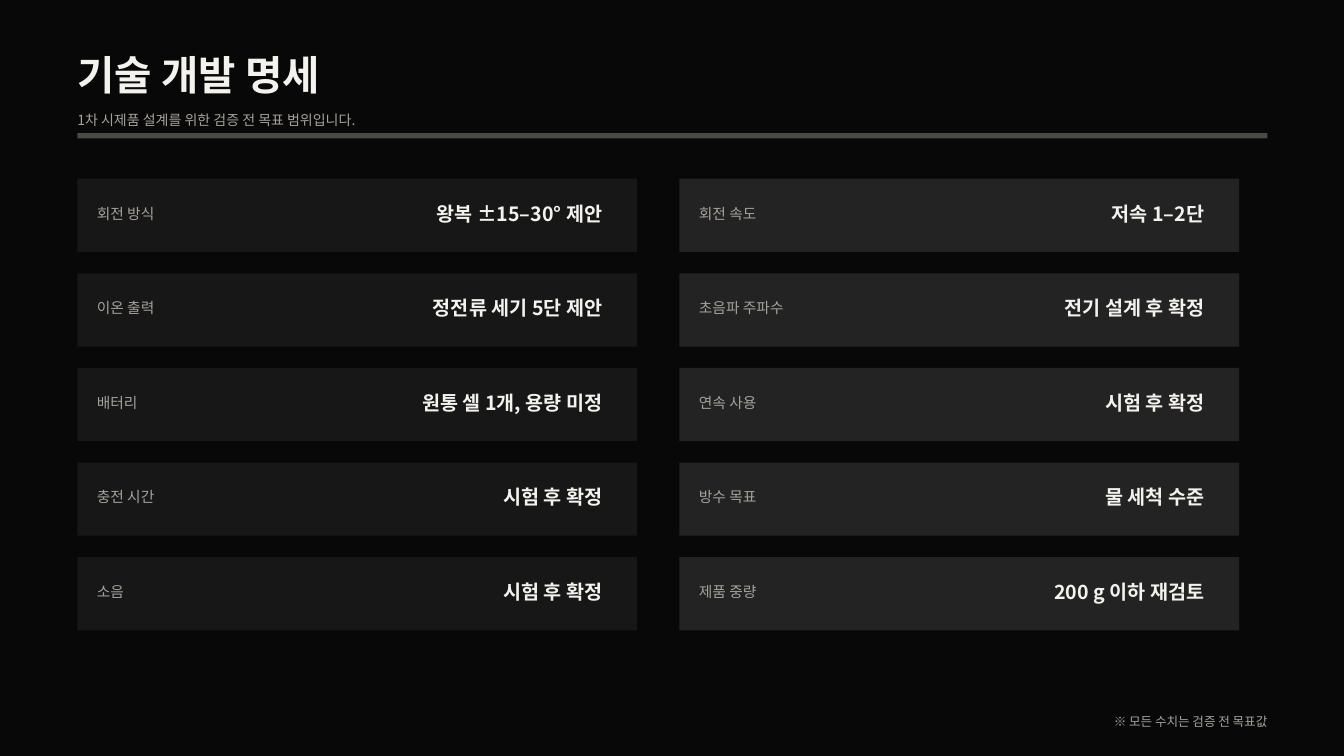
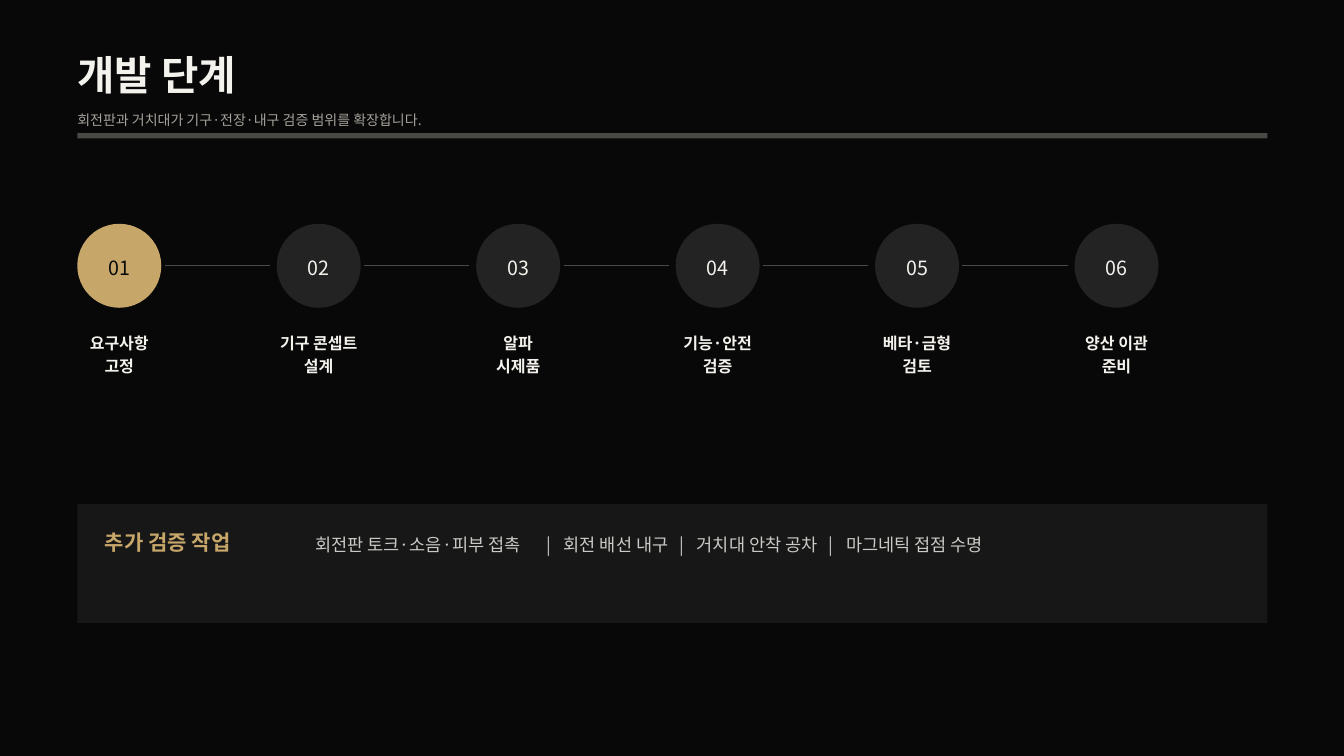
from dataclasses import dataclass

from lxml import etree
from pptx import Presentation
from pptx.dml.color import RGBColor
from pptx.enum import shapes, text
from pptx.oxml.ns import qn
from pptx.util import Inches, Pt


@dataclass(frozen=True)
class Style:
    """Type size and line spacing in points, with weight."""
    size: float
    leading: float
    bold: bool = False


class Theme:
    font = "Noto Sans CJK KR"
    background = RGBColor.from_string("080808")
    card = RGBColor.from_string("171717")
    card_light = RGBColor.from_string("232323")
    rule = RGBColor.from_string("4A4946")
    ink = RGBColor.from_string("F4F2ED")
    muted = RGBColor.from_string("A6A29B")
    soft = RGBColor.from_string("C9C9C5")
    gold = RGBColor.from_string("C7A66A")

    title = Style(43.5, 48.7, True)
    subtitle = Style(15, 20.2)
    spec_label = Style(15.8, 22)
    spec_value = Style(21, 29.4, True)
    footnote = Style(13.5, 18.9)
    step_number = Style(21, 29.4)
    step_label = Style(17.2, 24.1, True)
    task_heading = Style(22.5, 28.1, True)
    task_list = Style(18.8, 27.2)


LEFT, WIDTH = 1.15, 17.71
LEFT_ALIGN, CENTER, RIGHT = (
    text.PP_ALIGN.LEFT, text.PP_ALIGN.CENTER, text.PP_ALIGN.RIGHT)

SPECS = [
    [("회전 방식", "왕복 ±15–30° 제안"), ("회전 속도", "저속 1–2단")],
    [("이온 출력", "정전류 세기 5단 제안"), ("초음파 주파수", "전기 설계 후 확정")],
    [("배터리", "원통 셀 1개, 용량 미정"), ("연속 사용", "시험 후 확정")],
    [("충전 시간", "시험 후 확정"), ("방수 목표", "물 세척 수준")],
    [("소음", "시험 후 확정"), ("제품 중량", "200 g 이하 재검토")],
]
STEPS = [
    ("요구사항", "고정"),
    ("기구 콘셉트", "설계"),
    ("알파", "시제품"),
    ("기능·안전", "검증"),
    ("베타·금형", "검토"),
    ("양산 이관", "준비"),
]
TASKS = ["회전판 토크·소음·피부 접촉", "회전 배선 내구", "거치대 안착 공차", "마그네틱 접점 수명"]
TASK_TABS = [3.44, 3.7, 5.42, 5.68, 7.64, 7.9]


def inches(*lengths):
    return [Inches(length) for length in lengths]


def write(tf, lines, style, color, align=LEFT_ALIGN, tabs=()):
    """Fill a text frame with one paragraph for each line."""
    tf.margin_left = tf.margin_top = tf.margin_right = tf.margin_bottom = 0
    tf.word_wrap = True
    for i, line in enumerate(lines):
        p = tf.add_paragraph() if i else tf.paragraphs[0]
        p.text = line
        p.alignment = align
        p.line_spacing = Pt(style.leading)
        p.space_before = Pt(0)
        if tabs:
            tab_list = etree.SubElement(p._p.get_or_add_pPr(), qn("a:tabLst"))
            for tab in tabs:
                etree.SubElement(tab_list, qn("a:tab"), pos=str(Inches(tab)), algn="l")
        p.font.size = Pt(style.size)
        p.font.bold = style.bold
        p.font.color.rgb = color
        p.font.name = Theme.font
        etree.SubElement(p._p.pPr.find(qn("a:defRPr")), qn("a:ea"), typeface=Theme.font)


def add_text(slide, box, lines, style, color, align=LEFT_ALIGN, tabs=()):
    tf = slide.shapes.add_textbox(*inches(*box)).text_frame
    write(tf, lines, style, color, align, tabs)
    tf.auto_size = text.MSO_AUTO_SIZE.SHAPE_TO_FIT_TEXT


def add_filled(slide, kind, box, color):
    sp = slide.shapes.add_shape(kind, *inches(*box))
    sp.shadow.inherit = False
    sp.fill.solid()
    sp.fill.fore_color.rgb = color
    sp.line.fill.background()
    return sp


def add_panel(slide, box, color):
    return add_filled(slide, shapes.MSO_SHAPE.RECTANGLE, box, color)


def add_line(slide, x1, x2, y):
    line = slide.shapes.add_connector(
        shapes.MSO_CONNECTOR.STRAIGHT, *inches(x1, y, x2, y))
    line.line.color.rgb = Theme.rule
    line.line.width = Pt(1.5)
    etree.SubElement(line._element.spPr, qn("a:effectLst"))


def add_headed_slide(prs, title, subtitle):
    """Add a slide with its title, subtitle and rule."""
    slide = prs.slides.add_slide(prs.slide_layouts[5])
    sp = slide.shapes.title
    sp.left, sp.top, sp.width, sp.height = inches(LEFT, 0.79, 14.06, 0.67)
    write(sp.text_frame, [title], Theme.title, Theme.ink)
    sp.text_frame.vertical_anchor = text.MSO_ANCHOR.TOP
    sp.text_frame.auto_size = text.MSO_AUTO_SIZE.NONE
    add_text(slide, (LEFT, 1.63, 14.58, 0.27), [subtitle], Theme.subtitle, Theme.muted)
    add_panel(slide, (LEFT, 1.98, WIDTH, 0.08), Theme.rule)
    return slide


def add_spec_card(slide, box, label, value, color):
    x, y, w, h = box
    add_panel(slide, box, color)
    add_text(slide, (x + 0.29, y + 0.34, 3.12, 0.28), [label],
             Theme.spec_label, Theme.muted)
    add_text(slide, (x + w - 4.27, y + 0.28, 3.75, 0.38), [value],
             Theme.spec_value, Theme.ink, RIGHT)


def add_spec_grid(slide, box, rows):
    x, y, w, h = box
    card_w, card_h = 8.33, 1.09
    row_pitch = (h - card_h) / (len(rows) - 1)
    for i, row in enumerate(rows):
        columns = zip((x, x + w - card_w), row, (Theme.card, Theme.card_light))
        for card_x, (label, value), color in columns:
            card = (card_x, y + i * row_pitch, card_w, card_h)
            add_spec_card(slide, card, label, value, color)


def add_step(slide, x, y, size, number, label, active):
    """Add a numbered circle with a two-line label centred below it."""
    circle = add_filled(slide, shapes.MSO_SHAPE.OVAL, (x, y, size, size),
                        Theme.gold if active else Theme.card_light)
    write(circle.text_frame, [f"{number:02}"], Theme.step_number,
          Theme.background if active else Theme.ink, CENTER)
    circle.text_frame.vertical_anchor = text.MSO_ANCHOR.MIDDLE
    label_w = 2.4
    add_text(slide, (x + (size - label_w) / 2, y + 1.59, label_w, 0.65), label,
             Theme.step_label, Theme.ink, CENTER)


def add_timeline(slide, box, steps):
    x, y, w, size = box
    pitch = (w - size) / (len(steps) - 1)
    for i, label in enumerate(steps):
        step_x = x + i * pitch
        add_step(slide, step_x, y, size, i + 1, label, active=i == 0)
        if i < len(steps) - 1:
            add_line(slide, step_x + size + 0.05, step_x + pitch - 0.1, y + size / 2)


def add_task_panel(slide, box, heading, tasks):
    x, y, w, h = box
    add_panel(slide, box, Theme.card)
    add_text(slide, (x + 0.41, y + 0.36, 2.71, 0.38), [heading],
             Theme.task_heading, Theme.gold)
    add_text(slide, (x + 3.54, y + 0.38, 13.44, 0.35), ["\t|\t".join(tasks)],
             Theme.task_list, Theme.soft, tabs=TASK_TABS)


def add_spec_slide(prs):
    slide = add_headed_slide(prs, "기술 개발 명세", "1차 시제품 설계를 위한 검증 전 목표 범위입니다.")
    add_spec_grid(slide, (LEFT, 2.66, 17.29, 6.72), SPECS)
    add_text(slide, (LEFT + WIDTH - 4.38, 10.59, 4.38, 0.25),
             ["※ 모든 수치는 검증 전 목표값"], Theme.footnote, Theme.muted, RIGHT)


def add_stage_slide(prs):
    slide = add_headed_slide(
        prs, "개발 단계", "회전판과 거치대가 기구·전장·내구 검증 범위를 확장합니다.")
    add_timeline(slide, (LEFT, 3.33, 16.09, 1.25), STEPS)
    add_task_panel(slide, (LEFT, 7.5, WIDTH, 1.77), "추가 검증 작업", TASKS)


def main():
    prs = Presentation()
    prs.slide_width, prs.slide_height = inches(20, 11.25)
    fill = prs.slide_master.background.fill
    fill.solid()
    fill.fore_color.rgb = Theme.background
    add_spec_slide(prs)
    add_stage_slide(prs)
    prs.save("out.pptx")


if __name__ == "__main__":
    main()
